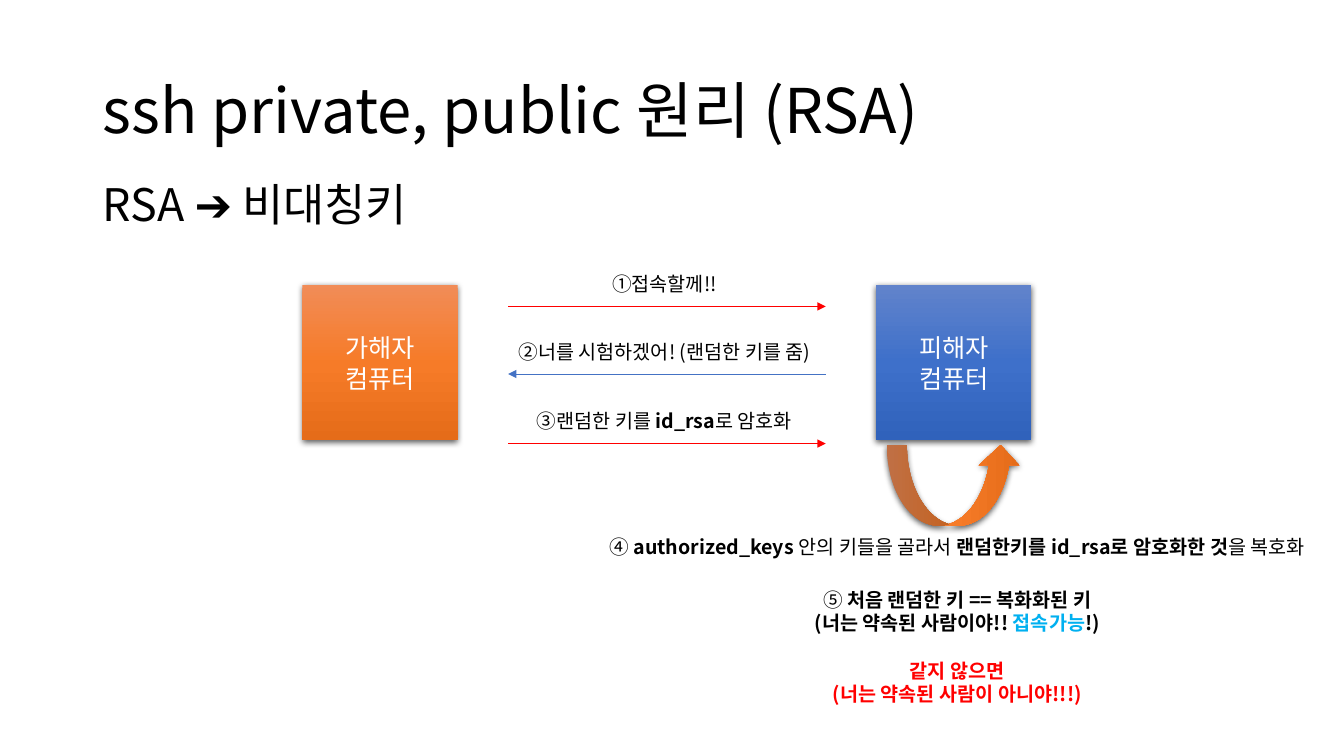
from lxml.etree import SubElement as Sub
from pptx import Presentation
from pptx.dml.color import RGBColor
from pptx.enum.shapes import MSO_CONNECTOR as Link, MSO_SHAPE as Shape
from pptx.enum.text import MSO_ANCHOR as Anchor, MSO_AUTO_SIZE as Fit, PP_ALIGN as Align
from pptx.oxml.ns import qn
from pptx.util import Inches, Pt

FONT = "Noto Sans CJK KR"
INK = {"black": "000000", "white": "FFFFFF", "red": "FF0000",
       "blue": "4472C4", "sky": "00B0F0"}
FADE = {"orange": ("F18C57", "F67B28", "E56C19"),
        "blue": ("6183CB", "3E70CA", "3062BB")}
LINE = 0.34  # height of a one-line label

# each run: text, bold, colour
STEPS = [
    (3.04, "red", True, [("①접속할께!!",)]),
    (3.71, "blue", False, [("②너를 시험하겠어! (랜덤한 키를 줌)",)]),
    (4.4, "red", True, [("③랜덤한 키를 ",), ("id_rsa", True), ("로 암호화",)]),
]
CHECK = [[("④ ",), ("authorized_keys ", True), ("안의 키들을 골라서 ",),
          ("랜덤한키를 id_rsa로 암호화한 것", True), ("을 복호화",)]]
RESULT = [
    [("⑤",), (" 처음 랜덤한 키 == 복화화된 키", True)],
    [("(너는 약속된 사람이야!! ", True), ("접속가능", True, "sky"), ("!)", True)],
    [("같지 않으면", True, "red")],
    [("(너는 약속된 사람이 아니야!!!)", True, "red")],
]


def inch(*box):
    return [Inches(v) for v in box]


def style(run, size, color="black", bold=False):
    font = run.font
    font.name, font.size, font.bold = FONT, Pt(size), bold
    font.color.rgb = RGBColor.from_string(INK[color])
    Sub(run._r.get_or_add_rPr(), qn("a:ea"), typeface=FONT)


def write(frame, paras, size, align=Align.CENTER, color="black"):
    for i, runs in enumerate(paras):
        para = frame.add_paragraph() if i else frame.paragraphs[0]
        para.alignment = align
        for text, *look in runs:
            bold, tint = (look + [False, color][len(look):])[:2]
            run = para.add_run()
            run.text = text
            style(run, size, tint, bold)


def label(slide, box, paras, size=14, align=Align.CENTER):
    frame = slide.shapes.add_textbox(*inch(*box)).text_frame
    frame.word_wrap = False
    frame.auto_size = Fit.SHAPE_TO_FIT_TEXT
    write(frame, paras, size, align)
    return frame


def solid(slide, kind, box, fade):
    """Add a shape with a three-stop vertical gradient and a soft shadow."""
    shape = slide.shapes.add_shape(kind, *inch(*box))
    shape.line.fill.background()
    shape.fill.gradient()
    shape.fill.gradient_angle = 270
    stops = shape._element.spPr.find(qn("a:gradFill")).find(qn("a:gsLst"))
    stops.clear()
    for i, tint in enumerate(FADE[fade]):
        stop = Sub(stops, qn("a:gs"), pos=str(i * 50000))
        Sub(stop, qn("a:srgbClr"), val=tint)
    shape.shadow.inherit = False
    effects = shape._element.spPr.find(qn("a:effectLst"))
    shade = Sub(effects, qn("a:outerShdw"), blurRad=str(Pt(4.5)),
                dist=str(Pt(1.5)), dir="5400000", algn="ctr", rotWithShape="0")
    tint = Sub(shade, qn("a:srgbClr"), val=INK["black"])
    Sub(tint, qn("a:alpha"), val="63000")
    return shape


def heading(slide, box):
    left, top, width, height = box
    title = slide.shapes.title
    title.left, title.top, title.width, title.height = inch(*box)
    frame = title.text_frame
    frame.text = "ssh private, public 원리 (RSA)"
    frame.auto_size = Fit.NONE
    frame.vertical_anchor = Anchor.MIDDLE
    para = frame.paragraphs[0]
    para.alignment, para.line_spacing = Align.LEFT, 0.9
    style(para.runs[0], 44)
    label(slide, (left, top + 1.3, 3.6, 0.64), [[("RSA ➔ 비대칭키",)]],
          32, Align.LEFT)


def host(slide, left, top, side, owner, fade):
    frame = solid(slide, Shape.RECTANGLE, (left, top, side, side), fade).text_frame
    frame.vertical_anchor = Anchor.MIDDLE
    write(frame, [[(owner,)], [("컴퓨터",)]], 18, color="white")


def message(slide, left, right, y, color, ahead, runs):
    """Draw one step of the exchange: an arrow with its label above."""
    start, end = (left, right) if ahead else (right, left)
    link = slide.shapes.add_connector(Link.STRAIGHT, *inch(start, y, end, y))
    link.line.color.rgb = RGBColor.from_string(INK[color])
    link.line.width = Pt(0.5)
    Sub(link.line._get_or_add_ln(), qn("a:tailEnd"), type="triangle")
    Sub(link._element.spPr, qn("a:effectLst"))
    label(slide, (left - 0.15, y - 0.39, right - left + 0.25, LINE), [runs])


def verdict(slide, left, top, width):
    """Draw the check on the victim's side, below its box."""
    mid = left + width / 2
    loop = solid(slide, Shape.CURVED_RIGHT_ARROW, (mid - 0.4, top - 0.22, 0.8, 1.33),
                 "orange")
    loop.rotation = 270
    mid += 0.04
    label(slide, (mid - 3.77, top + 0.89, 7.53, LINE), CHECK)
    frame = label(slide, (mid - 1.65, top + 1.41, 3.29, 1.28), RESULT)
    frame.paragraphs[2].space_before = Pt(17)


def main():
    deck = Presentation()
    deck.slide_width, deck.slide_height = inch(13.33, 7.5)
    slide = deck.slides.add_slide(deck.slide_layouts[5])
    heading(slide, (0.92, 0.4, 11.5, 1.45))
    top, side = 2.83, 1.54
    host(slide, 8.69, top, side, "피해자", "blue")
    host(slide, 3, top, side, "가해자", "orange")
    for step in STEPS:
        message(slide, 5.04, 8.19, *step)
    verdict(slide, 8.69, top + side, side)
    deck.save("out.pptx")


if __name__ == "__main__":
    main()
